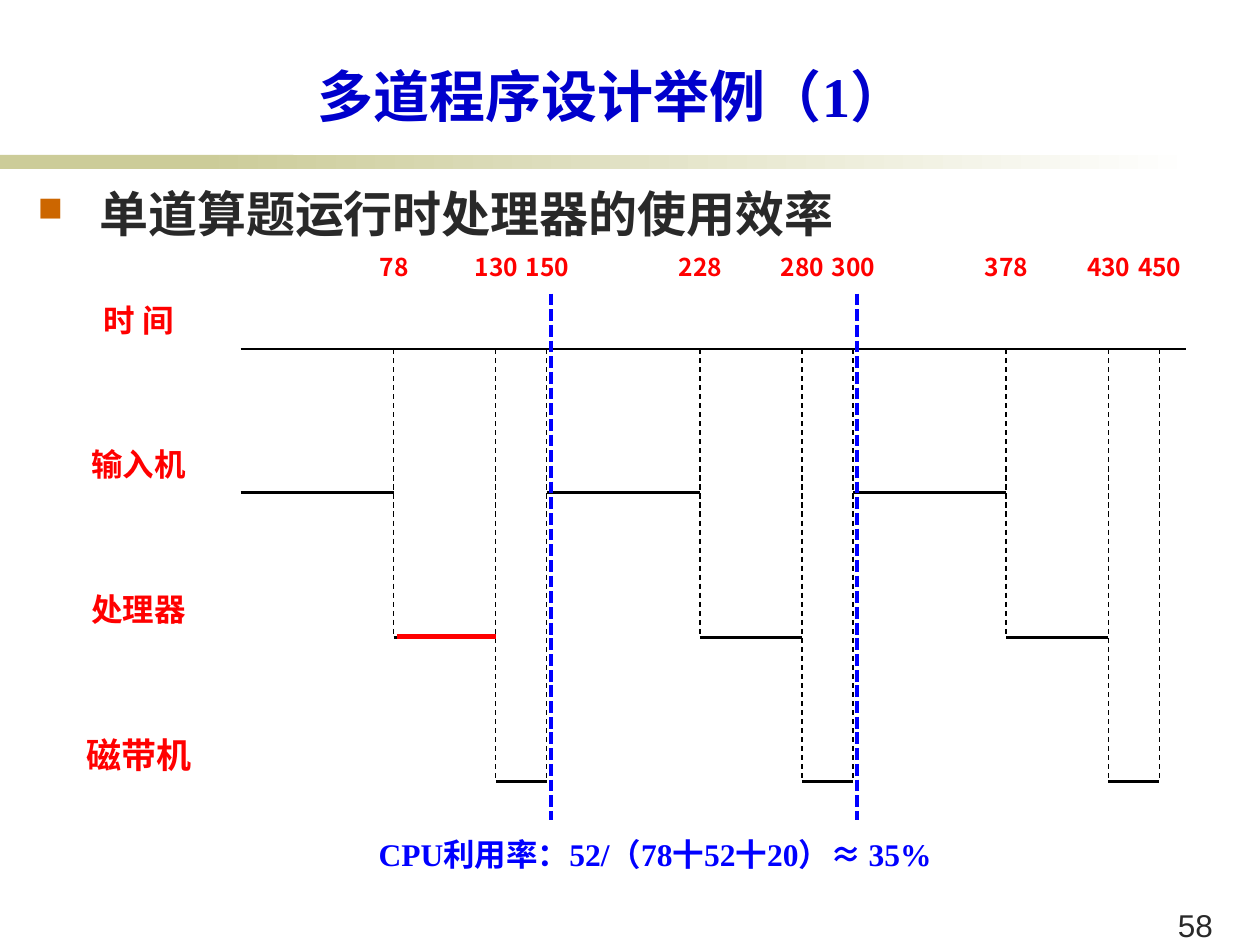
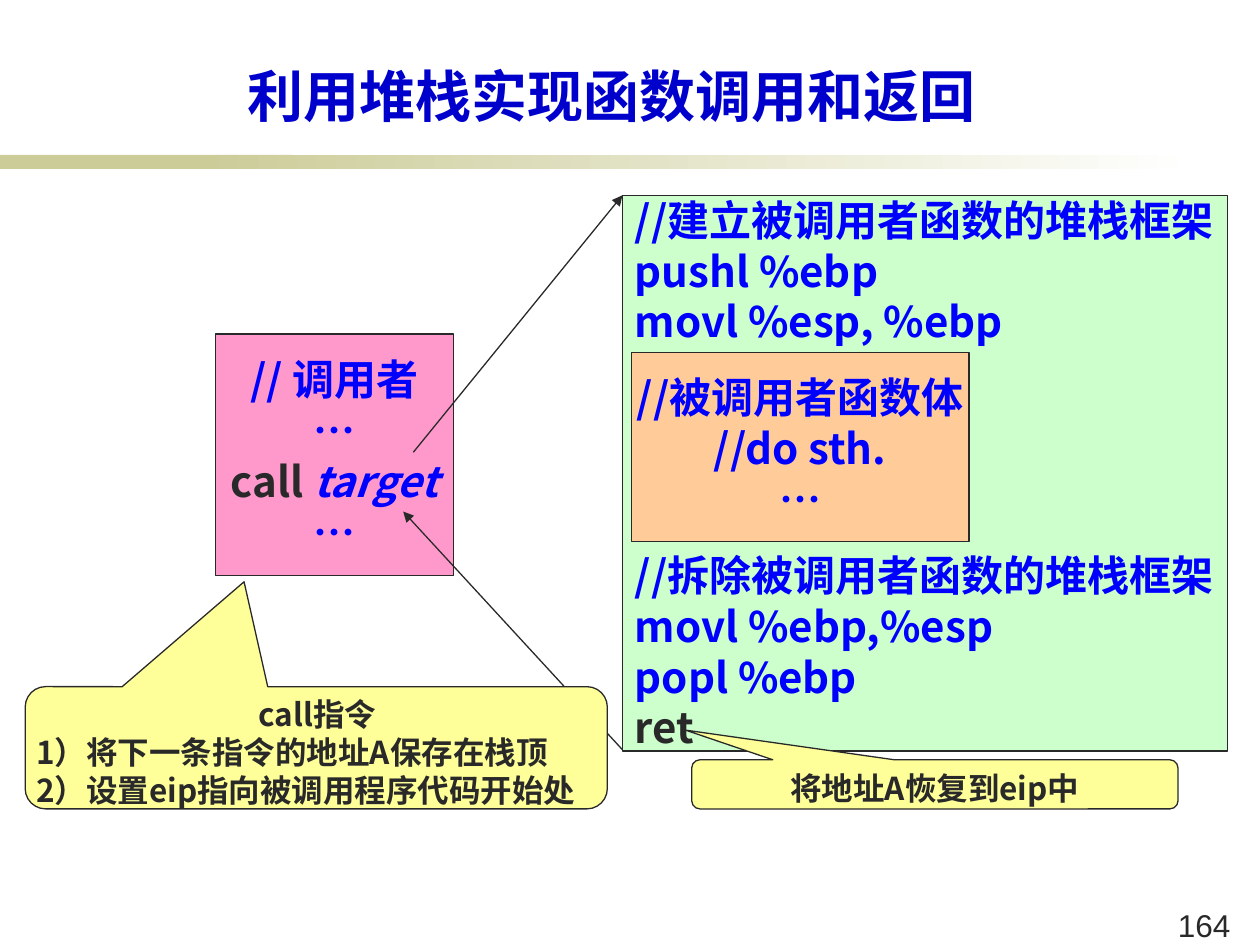
from lxml import etree
from pptx import Presentation
from pptx import util as u
from pptx.dml.color import RGBColor
from pptx.enum import dml, shapes, text
from pptx.oxml import ns

PX = 9144  # EMU in one px, 100 px to the inch
SANS, SERIF, CJK = "Noto Sans CJK JP", "Times New Roman", "Noto Sans CJK SC"
NAVY, BLUE, RED, BLACK, INK = "0000CC", "0000FF", "FF0000", "000000", "292929"
KHAKI, WHITE, ORANGE = "CCCC99", "FFFFFF", "CC6600"
PINK, GREEN, PEACH, YELLOW = "FF99CC", "CCFFCC", "FFCC99", "FFFF99"
LEFT, CENTER = text.PP_ALIGN.LEFT, text.PP_ALIGN.CENTER
TOP, MIDDLE, BOTTOM = text.MSO_ANCHOR.TOP, text.MSO_ANCHOR.MIDDLE, text.MSO_ANCHOR.BOTTOM
DASH, SHORT_DASH = dml.MSO_LINE.DASH, dml.MSO_LINE.SQUARE_DOT
INSETS = (10, 5, 10, 5)

# Slide 1: timeline of three identical cycles
EFFICIENCY = "单道算题运行时处理器的使用效率"
USAGE = "CPU利用率：52/（78十52十20）≈ 35%"
ROWS = [("时 间", 18, 277), ("输入机", 18, 391), ("处理器", 18, 506), ("磁带机", 20, 620)]
CYCLES = [(78, 130, 150), (228, 280, 300), (378, 430, 450)]
AXIS_LEFT, AXIS_RIGHT, CYCLE_WIDTH = 191, 941, 243
PHASE_ENDS = (3 / 6, 5 / 6, 1)  # input, processor and tape end, as parts of a cycle

# Slide 2: each paragraph is a list of (words, colour, italic)
CALLER = [[("// 调用者", BLUE, False)], [("…", BLUE, False)],
          [("call ", INK, False), ("target", BLUE, True)], [("…", BLUE, False)]]
PROLOGUE = ["//建立被调用者函数的堆栈框架", "pushl %ebp", "movl %esp, %ebp"]
EPILOGUE = ["//拆除被调用者函数的堆栈框架", "movl %ebp,%esp", "popl %ebp"]
BODY = ["//被调用者函数体", "//do sth.", "…"]
CALL_NOTE = ["call指令", "1）将下一条指令的地址A保存在栈顶", "2）设置eip指向被调用程序代码开始处"]
RET_NOTE = ["将地址A恢复到eip中"]


def px(value):
    return u.Emu(round(value * PX))


def colour(code):
    return RGBColor.from_string(code)


def plain(lines, code):
    return [[(line, code, False)] for line in lines]


def write(box, paras, size, font=SANS, bold=True, align=CENTER, anchor=TOP,
          wrap=True, insets=INSETS, pitch=None):
    """Fill a box with paragraphs, run by run."""
    frame = box.text_frame
    frame.word_wrap, frame.vertical_anchor = wrap, anchor
    (frame.margin_left, frame.margin_top,
     frame.margin_right, frame.margin_bottom) = map(px, insets)
    for index, spans in enumerate(paras):
        para = frame.add_paragraph() if index else frame.paragraphs[0]
        para.alignment = align
        if pitch:
            para.line_spacing = u.Pt(pitch)
        for words, code, italic in spans:
            span = para.add_run()
            span.text = words
            span.font.name, span.font.size = font, u.Pt(size)
            span.font.bold, span.font.italic = bold, italic
            span.font.color.rgb = colour(code)
            east = etree.SubElement(span._r.get_or_add_rPr(), ns.qn("a:ea"))
            east.set("typeface", SANS if font == SANS else CJK)
    return frame.paragraphs


def add_text(page, place, paras, size, **style):
    box = page.shapes.add_textbox(*map(px, place))
    return write(box, paras, size, **style)


def add_box(page, kind, place, fill, line=INK):
    box = page.shapes.add_shape(kind, *map(px, place))
    box.shadow.inherit = False
    box.fill.solid()
    box.fill.fore_color.rgb = colour(fill)
    if line:
        box.line.color.rgb = colour(line)
        box.line.width = u.Pt(0.75)
    else:
        box.line.fill.background()
    return box


def add_line(page, start, end, code, width, dash=None, arrow=False):
    line = page.shapes.add_connector(shapes.MSO_CONNECTOR.STRAIGHT,
                                     *map(px, (*start, *end)))
    line.line.color.rgb = colour(code)
    line.line.width = u.Pt(width)
    if dash:
        line.line.dash_style = dash
    if arrow:
        tip = etree.SubElement(line.line._get_or_add_ln(), ns.qn("a:tailEnd"))
        tip.set("type", "triangle")
    etree.SubElement(line._element.spPr, ns.qn("a:effectLst"))


def add_callout(page, place, tip, lines, insets=INSETS, anchor=TOP):
    box = add_box(page, shapes.MSO_SHAPE.ROUNDED_RECTANGULAR_CALLOUT, place, YELLOW)
    box.adjustments[0], box.adjustments[1] = tip
    return write(box, plain(lines, INK), 18, insets=insets, anchor=anchor, pitch=21.7)


def add_page(deck, title, number, font):
    """Blank page with the shared band, title and page number."""
    page = deck.slides.add_slide(deck.slide_layouts[6])
    rectangle = shapes.MSO_SHAPE.RECTANGLE
    add_box(page, rectangle, (0, 123, 233, 11), KHAKI, None)
    fade = add_box(page, rectangle, (158, 123, 792, 11), KHAKI, None)
    fade.fill.gradient()
    fade.fill.gradient_angle = 0
    for stop, position, code in zip(fade.fill.gradient_stops, (0, 1), (KHAKI, WHITE)):
        stop.position, stop.color.rgb = position, colour(code)
    add_text(page, (83, 44, 805, 63), plain([title], NAVY), 32, font=font, anchor=BOTTOM)
    add_text(page, (925, 714, 63, 33), plain([number], INK), 18, font="Arial",
             bold=False, align=LEFT, wrap=False)
    return page


def add_bullet(para):
    props = para._p.get_or_add_pPr()
    props.set("marL", str(px(49)))
    props.set("indent", str(-px(49)))
    bullet_color = etree.SubElement(props, ns.qn("a:buClr"))
    etree.SubElement(bullet_color, ns.qn("a:srgbClr")).set("val", ORANGE)
    etree.SubElement(props, ns.qn("a:buSzPct")).set("val", "70000")
    etree.SubElement(props, ns.qn("a:buChar")).set("char", "■")


def build_timeline(deck):
    page = add_page(deck, "多道程序设计举例（1）", "58", SERIF)
    label = dict(font=CJK, insets=(0, 0, 0, 0))
    axis, *levels = [y for _, _, y in ROWS]
    for name, size, y in ROWS:
        add_text(page, (49, y - 38, 122, 76), plain([name], RED), size, **label)
    add_line(page, (AXIS_LEFT, axis), (AXIS_RIGHT, axis), BLACK, 1.5)

    # Each cycle steps down through the three devices
    for cycle, times in enumerate(CYCLES):
        start = AXIS_LEFT + cycle * CYCLE_WIDTH
        for time, part, level, drop in zip(times, PHASE_ENDS, levels,
                                           (levels[1], levels[2], levels[2])):
            end = AXIS_LEFT + (cycle + part) * CYCLE_WIDTH
            add_line(page, (start, level), (end, level), BLACK, 1.5)
            add_line(page, (end, axis), (end, drop), BLACK, 0.75, DASH)
            add_text(page, (end - 20, 200, 41, 76), plain([str(time)], RED), 14, **label)
            start = end

    # Bullet, result and highlights
    bullet, = add_text(page, (20, 141, 969, 60), plain([EFFICIENCY], INK), 28,
                       font=SERIF, align=LEFT)
    add_bullet(bullet)
    add_text(page, (285, 658, 470, 40), plain([USAGE], BLUE), 18, font=SERIF)
    for cycle in (1, 2):
        x = AXIS_LEFT + cycle * CYCLE_WIDTH + 3
        add_line(page, (x, 233), (x, 651), BLUE, 2.25, SHORT_DASH)
    add_line(page, (315, 505), (394, 505), RED, 3)


def build_call_stack(deck):
    page = add_page(deck, "利用堆栈实现函数调用和返回", "164", SANS)
    rectangle = shapes.MSO_SHAPE.RECTANGLE
    code = dict(size=24, anchor=MIDDLE, wrap=False, pitch=29)
    caller = add_box(page, rectangle, (171, 265, 189, 192), PINK)
    write(caller, CALLER, **code)
    callee = add_box(page, rectangle, (494, 155, 480, 441), GREEN)
    paras = write(callee, plain(PROLOGUE + EPILOGUE, BLUE) + plain(["ret"], INK),
                  align=LEFT, **code)
    paras[len(PROLOGUE)].space_before = u.Pt(4 * code["pitch"])  # room for the body
    body = add_box(page, rectangle, (501, 280, 268, 150), PEACH)
    write(body, plain(BODY, BLUE), **code)

    # Call and return arrows
    add_line(page, (328, 359), (494, 155), INK, 0.75, arrow=True)
    add_line(page, (494, 595), (320, 406), INK, 0.75, arrow=True)

    # Explanations
    notes = add_callout(page, (20, 545, 462, 97), (-0.124, -1.358), CALL_NOTE, (4, 2, 2, 1))
    for note in notes[1:]:
        note.alignment = LEFT
    add_callout(page, (549, 603, 386, 39), (-0.513, -1.104), RET_NOTE)


def main():
    deck = Presentation()
    deck.slide_width, deck.slide_height = px(1000), px(750)
    build_timeline(deck)
    build_call_stack(deck)
    deck.save("out.pptx")


if __name__ == "__main__":
    main()
